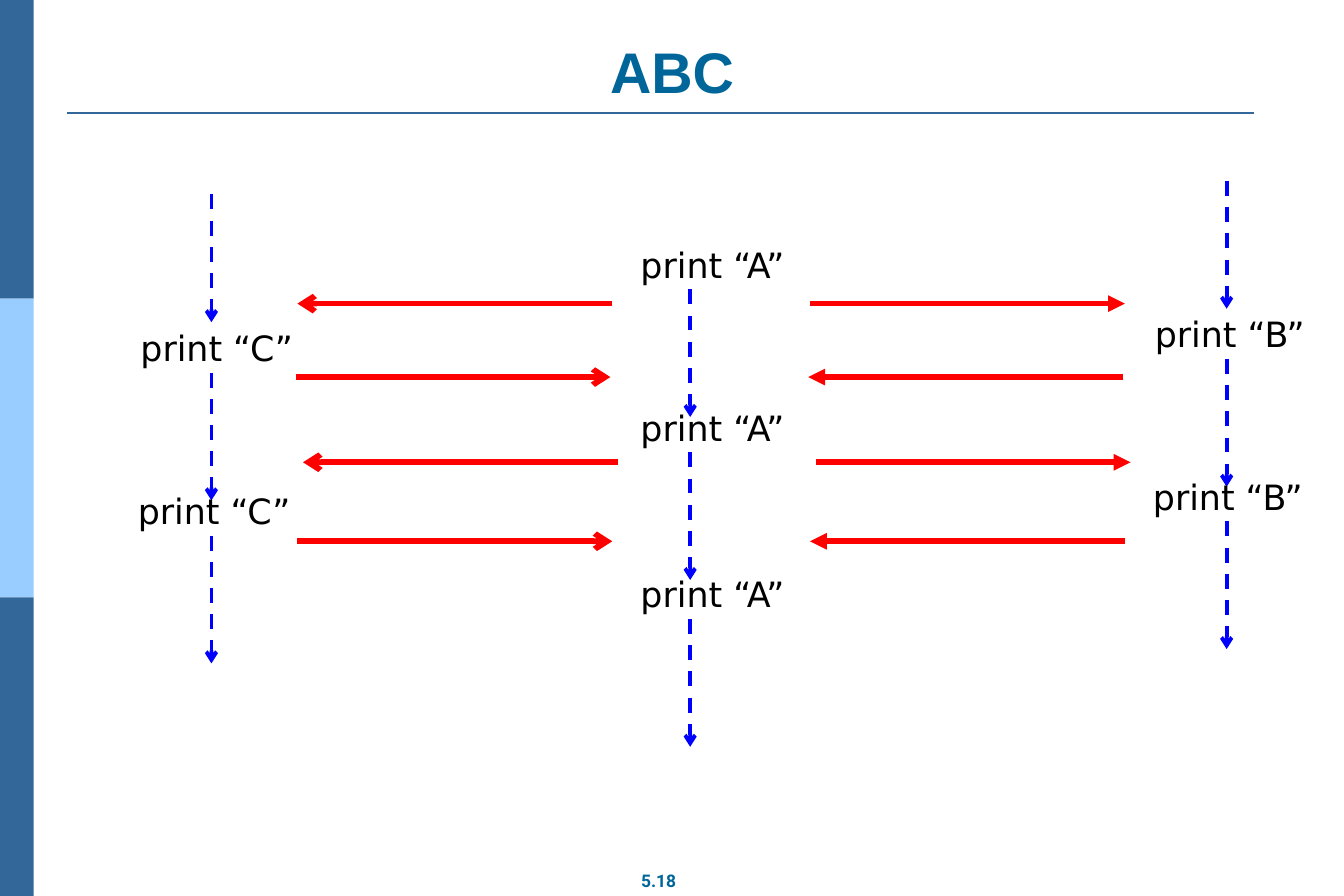
"""Build the ABC slide: three print lanes exchanging signals."""

from dataclasses import dataclass

from lxml.etree import SubElement
from pptx import Presentation
from pptx.dml.color import RGBColor
from pptx.enum.dml import MSO_LINE_DASH_STYLE as Dash
from pptx.enum.shapes import MSO_CONNECTOR as Connector, MSO_SHAPE as Shape
from pptx.enum.text import MSO_ANCHOR as Anchor, MSO_AUTO_SIZE as AutoSize, PP_ALIGN as Align
from pptx.oxml.ns import qn
from pptx.slide import Slide
from pptx.text.text import TextFrame
from pptx.util import Pt

COLORS = {
    "band": "336699",
    "middle band": "99CCFF",
    "title": "006699",
    "text": "000000",
    "signal": "FF0000",
    "flow": "0000FF",
}
SLIDE_WIDTH, SLIDE_HEIGHT = 1080, 720
BAND_WIDTH = 27
FLOW_LENGTH = 102.6
LABEL_WIDTH, LABEL_HEIGHT, LABEL_RISE = 150, 41, 40.5
SIGNAL_LENGTH = 253
LEFT_GAP, RIGHT_GAP = 239, 651


@dataclass
class Step:
    """A dashed arrow and, when it has one, the label above it."""

    top: float
    label_left: float | None = None


@dataclass
class Lane:
    """One process drawn as a column of steps."""

    name: str
    x: float
    steps: list[Step]


@dataclass
class SignalRow:
    """A pair of mirrored signals at one height."""

    y: float
    shift: float
    outward: bool


LANES = [
    Lane("A", 554.6, [Step(232.5, 507.6), Step(363.5, 507.6), Step(497.5, 507.6)]),
    Lane("B", 985.7, [Step(145.5), Step(288.5, 920.9), Step(419, 919.4)]),
    Lane("C", 169.9, [Step(156.3), Step(299.5, 105.8), Step(430.5, 103.7)]),
]
SIGNAL_ROWS = [
    SignalRow(244, 0, True),
    SignalRow(303, -1.5, False),
    SignalRow(371.5, 4.5, True),
    SignalRow(435, 0, False),
]


def rgb(name: str) -> RGBColor:
    """Return the named colour."""
    return RGBColor.from_string(COLORS[name])


def write(frame: TextFrame, text: str, font_name: str, size: float, color: str,
          bold: bool = False, align: Align = Align.LEFT) -> None:
    """Fill a text frame with one formatted paragraph."""
    frame.text = text
    paragraph = frame.paragraphs[0]
    paragraph.alignment = align
    font = paragraph.font
    font.name, font.size, font.bold = font_name, Pt(size), bold
    font.color.rgb = rgb(color)


def set_margins(frame: TextFrame) -> None:
    """Apply the wide margins of the title and the page number."""
    frame.margin_left = frame.margin_right = Pt(10)
    frame.margin_top = frame.margin_bottom = Pt(5)


def add_line(slide: Slide, start: tuple[float, float], end: tuple[float, float],
             color: str, width: float, arrow: str | None = None,
             dashed: bool = False) -> None:
    """Draw a straight line, with an arrowhead at its end if one is named."""
    connector = slide.shapes.add_connector(
        Connector.STRAIGHT, *(Pt(value) for value in (*start, *end)))
    connector.line.color.rgb = rgb(color)
    connector.line.width = Pt(width)
    if dashed:
        connector.line.dash_style = Dash.DASH
    if arrow:
        SubElement(connector.line._get_or_add_ln(), qn("a:tailEnd"), type=arrow)
    SubElement(connector._element.spPr, qn("a:effectLst"))


def add_frame(slide: Slide) -> None:
    """Draw the side bands, the title rule and the page number."""
    height = SLIDE_HEIGHT / 3
    for index, color in enumerate(("band", "middle band", "band")):
        band = slide.shapes.add_shape(
            Shape.RECTANGLE, 0, Pt(index * height), Pt(BAND_WIDTH), Pt(height))
        band.shadow.inherit = False
        band.fill.solid()
        band.fill.fore_color.rgb = rgb(color)
        band.line.fill.background()
    add_line(slide, (54, 90.5), (1008, 90.5), "band", 1.5)
    number = slide.shapes.add_textbox(Pt(504), Pt(694), Pt(50.5), Pt(27))
    number.text_frame.word_wrap = False
    set_margins(number.text_frame)
    write(number.text_frame, "5.18", "Roboto", 14, "title", True, Align.CENTER)


def set_title(slide: Slide) -> None:
    """Place and format the slide title."""
    title = slide.shapes.title
    title.left, title.top, title.width, title.height = Pt(54), Pt(29), Pt(972), Pt(60.5)
    frame = title.text_frame
    frame.auto_size = AutoSize.NONE
    frame.vertical_anchor = Anchor.BOTTOM
    set_margins(frame)
    write(frame, "ABC", "Arial", 46, "title", True, Align.CENTER)


def add_lane(slide: Slide, lane: Lane) -> None:
    """Draw the labels and dashed arrows of a lane."""
    for step in lane.steps:
        if step.label_left is not None:
            label = slide.shapes.add_textbox(
                Pt(step.label_left), Pt(step.top - LABEL_RISE),
                Pt(LABEL_WIDTH), Pt(LABEL_HEIGHT))
            label.text_frame.word_wrap = True
            write(label.text_frame, f"print “{lane.name}”", "DejaVu Sans", 28, "text")
        add_line(slide, (lane.x, step.top), (lane.x, step.top + FLOW_LENGTH),
                 "flow", 3, "arrow", dashed=True)


def add_signals(slide: Slide, row: SignalRow) -> None:
    """Draw the two signals of a row, away from or towards the middle lane."""
    for left, arrow, inner_first in ((LEFT_GAP, "arrow", False),
                                     (RIGHT_GAP, "triangle", True)):
        start = left + row.shift
        end = start + SIGNAL_LENGTH
        if row.outward != inner_first:
            start, end = end, start
        add_line(slide, (start, row.y), (end, row.y), "signal", 4.5, arrow)


def main() -> None:
    """Build and save the presentation."""
    presentation = Presentation()
    presentation.slide_width, presentation.slide_height = Pt(SLIDE_WIDTH), Pt(SLIDE_HEIGHT)
    slide = presentation.slides.add_slide(presentation.slide_layouts[5])
    add_frame(slide)
    set_title(slide)
    for lane in LANES:
        add_lane(slide, lane)
    for row in SIGNAL_ROWS:
        add_signals(slide, row)
    presentation.save("out.pptx")


if __name__ == "__main__":
    main()
